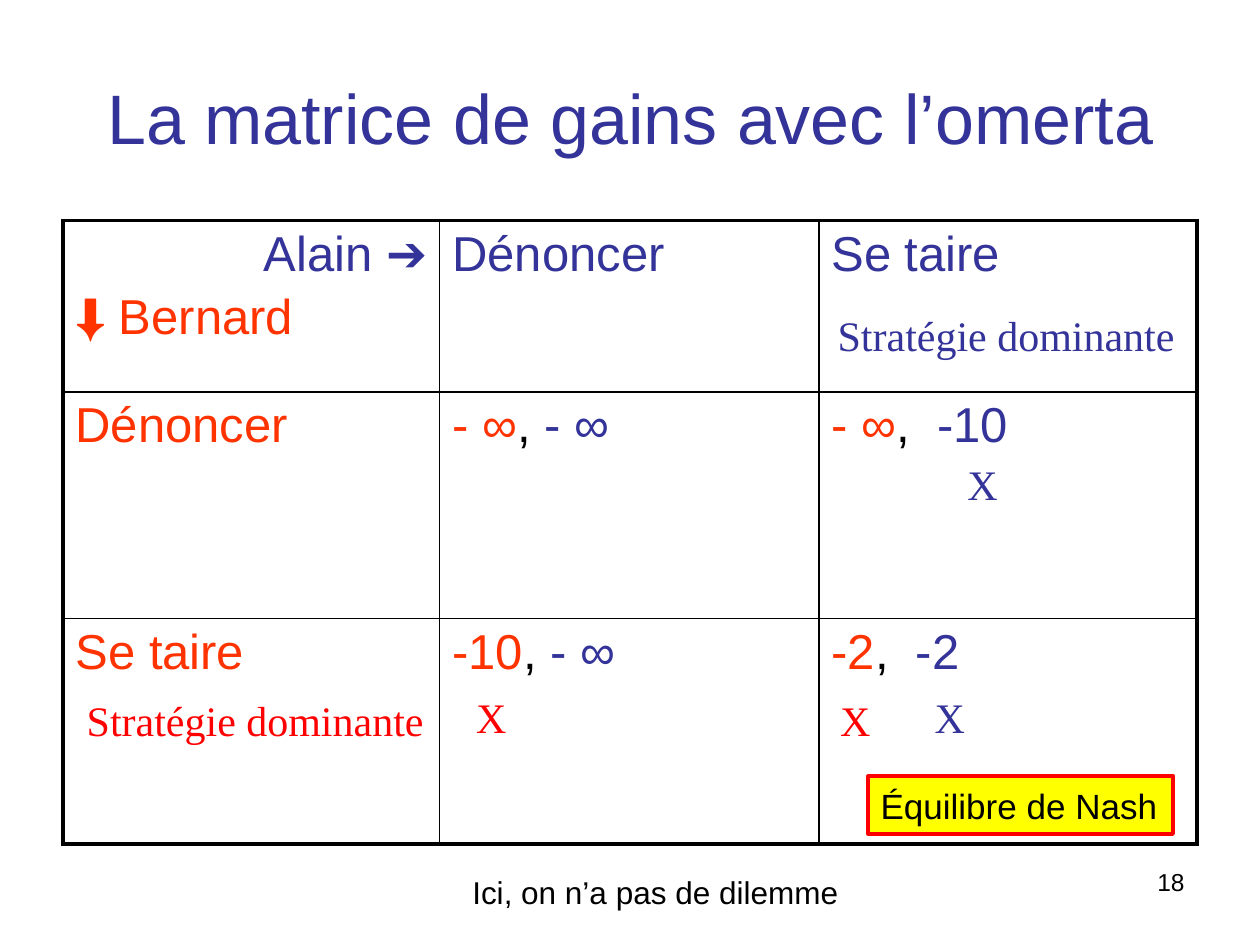
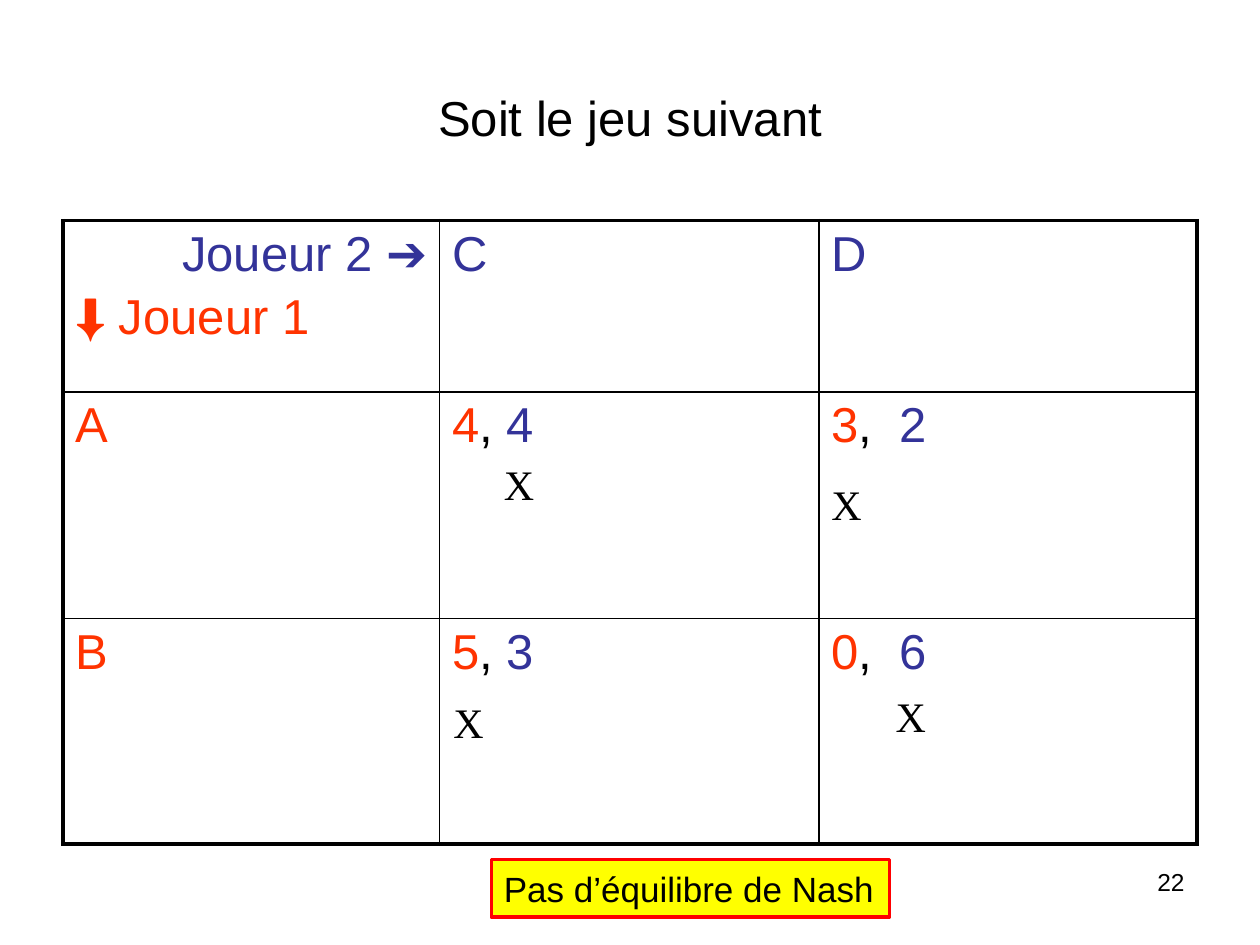
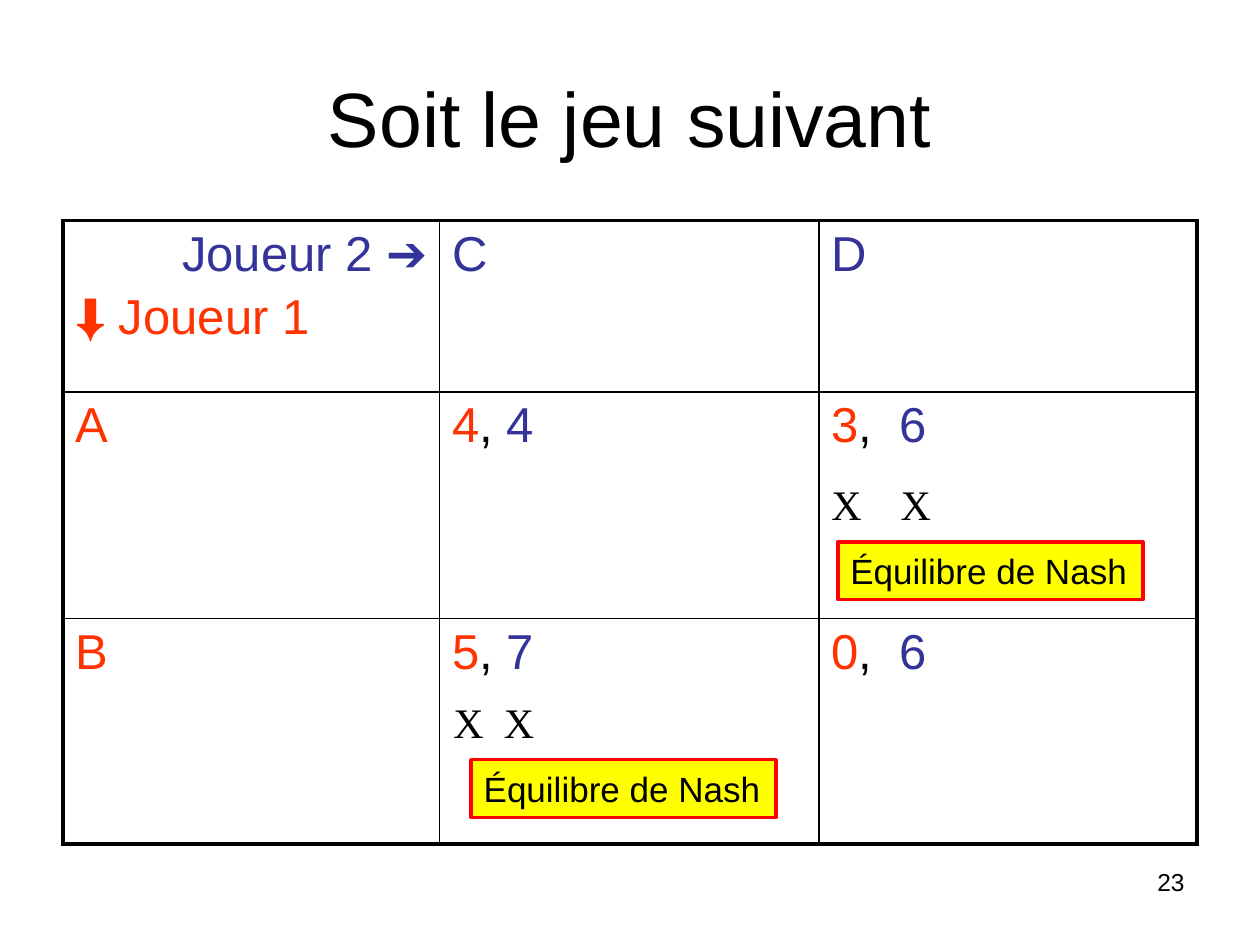
"""Build three slides of game theory payoff matrices with their best replies."""
from itertools import accumulate

from lxml.etree import SubElement
from pptx import Presentation
from pptx.dml.color import RGBColor
from pptx.enum.shapes import MSO_SHAPE as SHAPE
from pptx.enum.text import MSO_ANCHOR as ANCHOR, MSO_AUTO_SIZE as AUTO, PP_ALIGN as ALIGN
from pptx.oxml.ns import qn
from pptx.util import Inches, Pt

BLACK = RGBColor(0x00, 0x00, 0x00)
BLUE = RGBColor(0x33, 0x33, 0x99)
ORANGE = RGBColor(0xFF, 0x33, 0x00)
RED = RGBColor(0xFF, 0x00, 0x00)
YELLOW = RGBColor(0xFF, 0xFF, 0x00)
SANS, SERIF = "Arial", "Times New Roman"

W, H = 10, 7.5
MARGIN = 0.05 * W
TABLE_TOP = 1.75
COLS = (2.99, 3.01, 3)
ROWS = (1.36, 1.8, 1.79)
LEFTS = list(accumulate(COLS, initial=MARGIN))
TOPS = list(accumulate(ROWS, initial=TABLE_TOP))
OUTER, INNER = 2.25, 1
WIDE_GAP = 390

NASH, DOMINANT = "Équilibre de Nash", "Stratégie dominante"
NASH_W, DOMINANT_W, MARK_W = 2.42, 2.9, 0.44

# Positions of marks, badges and notes: column, row, then offset inside that cell.
SLIDES = [
    dict(
        number=18, title="La matrice de gains avec l’omerta", size=40, color=BLUE,
        players=("Bernard", "Alain"),
        row_moves=("Dénoncer", "Se taire"), col_moves=("Dénoncer", "Se taire"),
        payoffs=((("- ∞", "- ∞"), ("- ∞", "-10")), (("-10", "- ∞"), ("-2", "-2"))),
        badges=[(NASH, NASH_W, 2, 2, 0.39, 1.25)],
        marks=[(RED, 1, 2, 0.19, 0.53), (RED, 2, 2, 0.07, 0.55),
               (BLUE, 2, 1, 1.08, 0.48), (BLUE, 2, 2, 0.82, 0.53)],
        notes=[(DOMINANT, DOMINANT_W, 24, SERIF, RED, 0, 2, 0.09, 0.55),
               (DOMINANT, DOMINANT_W, 24, SERIF, BLUE, 2, 0, 0.05, 0.66),
               ("Ici, on n’a pas de dilemme", 3.19, 18, SANS, BLACK, 1, 3, 0.16, 0.18)],
    ),
    dict(
        number=22, title="Soit le jeu suivant", size=28, color=BLACK,
        players=("Joueur 1", "Joueur 2"),
        row_moves=("A", "B"), col_moves=("C", "D"),
        payoffs=((("4", "4"), ("3", "2")), (("5", "3"), ("0", "6"))),
        badges=[("Pas d’équilibre de Nash", 3.16, 1, 3, 0.41, 0.12)],
        marks=[(BLACK, 1, 1, 0.41, 0.48), (BLACK, 2, 1, 0, 0.64),
               (BLACK, 1, 2, 0.01, 0.57), (BLACK, 2, 2, 0.51, 0.52)],
        notes=[],
    ),
    dict(
        number=23, title="Soit le jeu suivant", size=44, color=BLACK,
        players=("Joueur 1", "Joueur 2"),
        row_moves=("A", "B"), col_moves=("C", "D"),
        payoffs=((("4", "4"), ("3", "6")), (("5", "7"), ("0", "6"))),
        badges=[(NASH, NASH_W, 1, 2, 0.25, 1.12), (NASH, NASH_W, 2, 1, 0.15, 1.19)],
        marks=[(BLACK, 2, 1, 0.55, 0.64), (BLACK, 2, 1, 0, 0.64),
               (BLACK, 1, 2, 0.01, 0.57), (BLACK, 1, 2, 0.41, 0.57)],
        notes=[],
    ),
]


def style(p, size, name=SANS, color=BLACK, align=ALIGN.LEFT):
    p.alignment = align
    p.font.size, p.font.name = Pt(size), name
    p.font.color.rgb = color


def add_text(s, text, box, size, name=SANS, color=BLACK, align=ALIGN.LEFT, anchor=ANCHOR.TOP, fit=False):
    tf = s.shapes.add_textbox(*map(Inches, box)).text_frame
    tf.word_wrap, tf.vertical_anchor = not fit, anchor
    if fit:
        tf.auto_size = AUTO.SHAPE_TO_FIT_TEXT
    tf.text = text
    style(tf.paragraphs[0], size, name, color, align)


def add_badge(s, text, width, col, row, dx, dy):
    box = (LEFTS[col] + dx, TOPS[row] + dy, width, 0.46)
    sp = s.shapes.add_shape(SHAPE.RECTANGLE, *map(Inches, box))
    sp.shadow.inherit = False
    sp.fill.solid()
    sp.fill.fore_color.rgb = YELLOW
    sp.line.color.rgb, sp.line.width = RED, Pt(2)
    tf = sp.text_frame
    tf.word_wrap, tf.auto_size = False, AUTO.SHAPE_TO_FIT_TEXT
    tf.text = text
    style(tf.paragraphs[0], 20)


def add_border(cell, side, width):
    ln = SubElement(cell._tc.get_or_add_tcPr(), qn(f"a:ln{side}"), w=str(Pt(width)))
    fill = SubElement(ln, qn("a:solidFill"))
    SubElement(fill, qn("a:srgbClr"), val=str(BLACK))


def add_runs(p, runs, align=ALIGN.LEFT):
    style(p, 28, align=align)
    for text, color, bold in runs:
        r = p.add_run()
        r.text = text
        r.font.color.rgb, r.font.bold = color, bold


def fill_cell(cell, data, row, col):
    tf = cell.text_frame
    p = tf.paragraphs[0]
    if row == col == 0:
        first, second = data["players"]
        add_runs(p, [(second + " ", BLUE, False), ("➔", BLUE, True)], ALIGN.RIGHT)
        p = tf.add_paragraph()
        add_runs(p, [("⬇", ORANGE, True), (" " + first, ORANGE, False)])
        p.space_before = Pt(5)
    elif row == 0:
        add_runs(p, [(data["col_moves"][col - 1], BLUE, False)])
    elif col == 0:
        add_runs(p, [(data["row_moves"][row - 1], ORANGE, False)])
    else:
        mine, theirs = data["payoffs"][row - 1][col - 1]
        add_runs(p, [(mine, ORANGE, False), (", ", BLACK, False), (theirs, BLUE, False)])
        if col == 2:
            p.runs[1]._r.get_or_add_rPr().set("spc", str(WIDE_GAP))


def add_matrix(s, data):
    box = (MARGIN, TABLE_TOP, sum(COLS), sum(ROWS))
    table = s.shapes.add_table(len(ROWS), len(COLS), *map(Inches, box)).table
    table.first_row = table.horz_banding = False
    for column, width in zip(table.columns, COLS):
        column.width = Inches(width)
    for i, height in enumerate(ROWS):
        table.rows[i].height = Inches(height)
        for j in range(len(COLS)):
            cell = table.cell(i, j)
            edges = dict(L=j == 0, R=j == len(COLS) - 1, T=i == 0, B=i == len(ROWS) - 1)
            for side, outer in edges.items():
                add_border(cell, side, OUTER if outer else INNER)
            cell.fill.background()
            fill_cell(cell, data, i, j)


def add_slide(prs, data):
    s = prs.slides.add_slide(prs.slide_layouts[6])
    add_text(s, str(data["number"]), (7.17, 6.83, 2.33, 0.52), 14, align=ALIGN.RIGHT)
    add_text(s, data["title"], (MARGIN, 0.3, W - 2 * MARGIN, 1.25), data["size"],
             color=data["color"], align=ALIGN.CENTER, anchor=ANCHOR.MIDDLE)
    add_matrix(s, data)
    for badge in data["badges"]:
        add_badge(s, *badge)
    marks = [("X", MARK_W, 24, SERIF, *mark) for mark in data["marks"]]
    for text, width, size, name, color, col, row, dx, dy in marks + data["notes"]:
        box = (LEFTS[col] + dx, TOPS[row] + dy, width, size / 48)
        add_text(s, text, box, size, name, color, fit=True)


def main():
    prs = Presentation()
    prs.slide_width, prs.slide_height = Inches(W), Inches(H)
    for data in SLIDES:
        add_slide(prs, data)
    prs.save("out.pptx")


if __name__ == "__main__":
    main()
